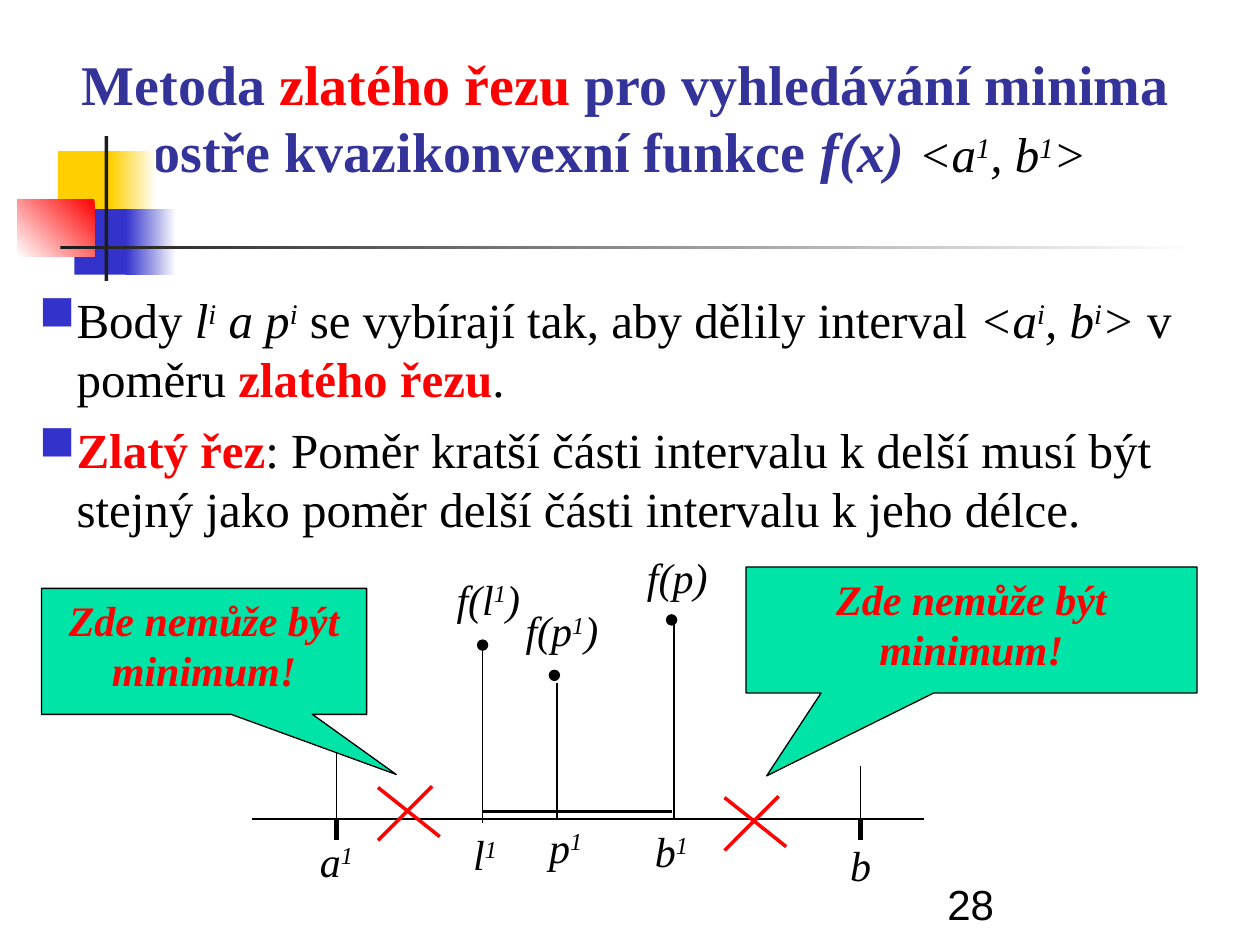
from lxml.etree import SubElement
from pptx import Presentation
from pptx.dml.color import RGBColor
from pptx.enum.shapes import MSO_CONNECTOR as CONN, MSO_SHAPE as SHAPE
from pptx.enum.text import MSO_ANCHOR as ANCHOR, MSO_AUTO_SIZE as AUTO, PP_ALIGN as ALIGN
from pptx.oxml.ns import qn
from pptx.util import Inches, Pt

BLACK = RGBColor(0x00, 0x00, 0x00)
WHITE = RGBColor(0xFF, 0xFF, 0xFF)
RED = RGBColor(0xFF, 0x00, 0x00)
YELLOW = RGBColor(0xFF, 0xCF, 0x01)
BLUE = RGBColor(0x33, 0x33, 0xCC)
NAVY = RGBColor(0x33, 0x33, 0x99)
GREEN = RGBColor(0x00, 0xE4, 0xA8)
DARK = RGBColor(0x1C, 0x1C, 0x1C)

# Run formats
IT = dict(italic=True)
SUP = dict(italic=True, sup=True)
KEY = dict(bold=True, color=RED)

AXIS_Y = 6.5


def write(tf, paragraphs, size=24, color=BLACK, font="Times New Roman", bold=False,
          italic=False, align=ALIGN.CENTER, anchor=ANCHOR.TOP, bullet=None, gap=0):
    """Fill a text frame; each paragraph is a list of (text, format) runs."""
    tf.word_wrap = True
    tf.auto_size = AUTO.NONE
    tf.vertical_anchor = anchor
    tf.margin_left = tf.margin_right = Inches(0.1)
    tf.margin_top = tf.margin_bottom = Inches(0.05)
    for i, runs in enumerate(paragraphs):
        p = tf.add_paragraph() if i else tf.paragraphs[0]
        if bullet:
            add_bullet(p, bullet)
        p.alignment = align
        if i and gap:
            p.space_before = Pt(gap)
        for text, fmt in runs:
            r = p.add_run()
            r.text = text
            r.font.name = font
            r.font.size = Pt(fmt.get("size", size))
            r.font.bold = fmt.get("bold", bold)
            r.font.italic = fmt.get("italic", italic)
            r.font.color.rgb = fmt.get("color", color)
            if fmt.get("sup"):
                r.font._element.set("baseline", "30000")


def add_bullet(p, color):
    pPr = p._p.get_or_add_pPr()
    pPr.set("marL", str(Inches(0.41)))
    pPr.set("indent", str(Inches(-0.3)))
    clr = SubElement(pPr, qn("a:buClr"))
    SubElement(clr, qn("a:srgbClr")).set("val", str(color))
    SubElement(pPr, qn("a:buChar")).set("char", "■")


def add_text(slide, box, paragraphs, **fmt):
    tb = slide.shapes.add_textbox(*map(Inches, box))
    write(tb.text_frame, paragraphs, **fmt)


def add_label(slide, x, y, base, sup="", end="", width=0.5):
    parts = [(base, IT), (sup, SUP), (end, IT)]
    add_text(slide, (x, y, width, 0.5), [[part for part in parts if part[0]]])


def add_shape(slide, kind, box, fill, outline=None):
    sp = slide.shapes.add_shape(kind, *map(Inches, box))
    sp.shadow.inherit = False
    sp.fill.solid()
    sp.fill.fore_color.rgb = fill
    if outline is None:
        sp.line.fill.background()
    else:
        sp.line.color.rgb = outline
        sp.line.width = Pt(0.75)
    return sp


def add_fade(slide, box, start, end, angle=0):
    sp = add_shape(slide, SHAPE.RECTANGLE, box, start)
    sp.fill.gradient()
    sp.fill.gradient_angle = angle
    for stop, color, position in zip(sp.fill.gradient_stops, (start, end), (0, 1)):
        stop.color.rgb = color
        stop.position = position


def add_line(slide, x1, y1, x2, y2, width=0.75, color=BLACK):
    ln = slide.shapes.add_connector(CONN.STRAIGHT, *map(Inches, (x1, y1, x2, y2)))
    ln.line.color.rgb = color
    ln.line.width = Pt(width)
    SubElement(ln._element.spPr, qn("a:effectLst"))


def add_dot(slide, x, y):
    add_shape(slide, SHAPE.OVAL, (x, y, 0.08, 0.08), BLACK, BLACK)


def add_cross(slide, x, y):
    add_line(slide, x, y, x + 0.49, y + 0.39, 2, RED)
    add_line(slide, x, y + 0.42, x + 0.43, y - 0.01, 2, RED)


def add_callout(slide, box, tip):
    sp = add_shape(slide, SHAPE.RECTANGULAR_CALLOUT, box, GREEN, BLACK)
    sp.adjustments[0], sp.adjustments[1] = tip
    write(sp.text_frame, [[("Zde nemůže být minimum!", {})]],
          color=RED, bold=True, italic=True)


def add_decoration(slide):
    add_shape(slide, SHAPE.RECTANGLE, (0.46, 1.2, 0.48, 0.52), YELLOW)
    add_fade(slide, (0.88, 1.2, 0.36, 0.52), YELLOW, WHITE)
    add_shape(slide, SHAPE.RECTANGLE, (0.59, 1.66, 0.46, 0.52), BLUE)
    add_fade(slide, (1, 1.66, 0.4, 0.52), BLUE, WHITE)
    add_fade(slide, (0.14, 1.58, 0.61, 0.46), RED, WHITE, 225)
    add_shape(slide, SHAPE.RECTANGLE, (0.83, 1.08, 0.03, 1.15), DARK)
    add_fade(slide, (0.48, 1.95, 9, 0.03), DARK, WHITE)


def add_title(slide):
    title = slide.shapes.title
    title.left, title.top, title.width, title.height = map(Inches, (0.17, 0.42, 9.59, 1.09))
    small = dict(size=28, color=BLACK, bold=False, italic=True)
    small_sup = dict(small, sup=True)
    write(title.text_frame, [[
        ("Metoda ", {}), ("zlatého řezu", KEY),
        (" pro vyhledávání minima ostře kvazikonvexní funkce ", {}), ("f(x) ", IT),
        ("<a", small), ("1", small_sup), (", b", small), ("1", small_sup), ("> ", small),
    ]], size=32, color=NAVY, bold=True, anchor=ANCHOR.BOTTOM)


def add_body(slide):
    add_text(slide, (0.1, 2.25, 9.74, 2.08), [
        [("Body ", {}), ("l", IT), ("i", SUP), (" a p", IT), ("i", SUP),
         (" se vybírají tak, aby dělily interval ", {}),
         ("<a", IT), ("i", SUP), (", b", IT), ("i", SUP), (">", IT),
         (" v poměru ", {}), ("zlatého řezu", KEY), (".", {})],
        [("Zlatý řez", KEY),
         (": Poměr kratší části intervalu k delší musí být stejný jako poměr "
          "delší části intervalu k jeho délce.", {})],
    ], size=28, align=ALIGN.LEFT, bullet=BLUE, gap=7)


def add_diagram(slide):
    # Axis with the ends of the interval
    add_line(slide, 2, AXIS_Y, 7.33, AXIS_Y)
    for x, top in ((2.67, 5.91), (6.83, 6.08)):
        add_line(slide, x, top, x, AXIS_Y)
        add_line(slide, x, AXIS_Y, x, 6.67, 2.5)
    add_line(slide, 3.83, 6.44, 5.33, 6.44, 2)

    # Function values above the inner points
    for x, top, bottom in ((3.83, 5.15, 6.53), (4.42, 5.42, 6.5), (5.35, 4.92, 6.5)):
        add_line(slide, x, top, x, bottom)
    for x, y in ((3.79, 5.08), (4.36, 5.32), (5.29, 4.88)):
        add_dot(slide, x, y)
    add_label(slide, 3.5, 4.5, "f(l", "1", ")", width=0.75)
    add_label(slide, 4, 4.75, "f(p", "1", ")", width=0.92)
    add_label(slide, 5, 4.33, "f(p)", width=0.75)

    # Names of the points on the axis
    add_label(slide, 2.42, 6.58, "a", "1")
    add_label(slide, 3.6, 6.53, "l", "1")
    add_label(slide, 4.24, 6.47, "p", "1")
    add_label(slide, 5.08, 6.5, "b", "1")
    add_label(slide, 6.58, 6.61, "b")

    # Excluded parts
    add_callout(slide, (5.92, 4.5, 3.58, 1), (-0.454, 1.158))
    add_callout(slide, (0.33, 4.67, 2.58, 1), (0.591, 0.977))
    add_cross(slide, 3, 6.25)
    add_cross(slide, 5.75, 6.33)


def main():
    prs = Presentation()
    prs.slide_width, prs.slide_height = Inches(10), Inches(7.5)
    slide = prs.slides.add_slide(prs.slide_layouts[5])
    add_decoration(slide)
    add_title(slide)
    add_body(slide)
    add_diagram(slide)
    # Page number
    add_text(slide, (7.42, 6.92, 2.08, 0.5), [[("28", {})]],
             font="Arial", align=ALIGN.LEFT, anchor=ANCHOR.BOTTOM)
    prs.save("out.pptx")


if __name__ == "__main__":
    main()
